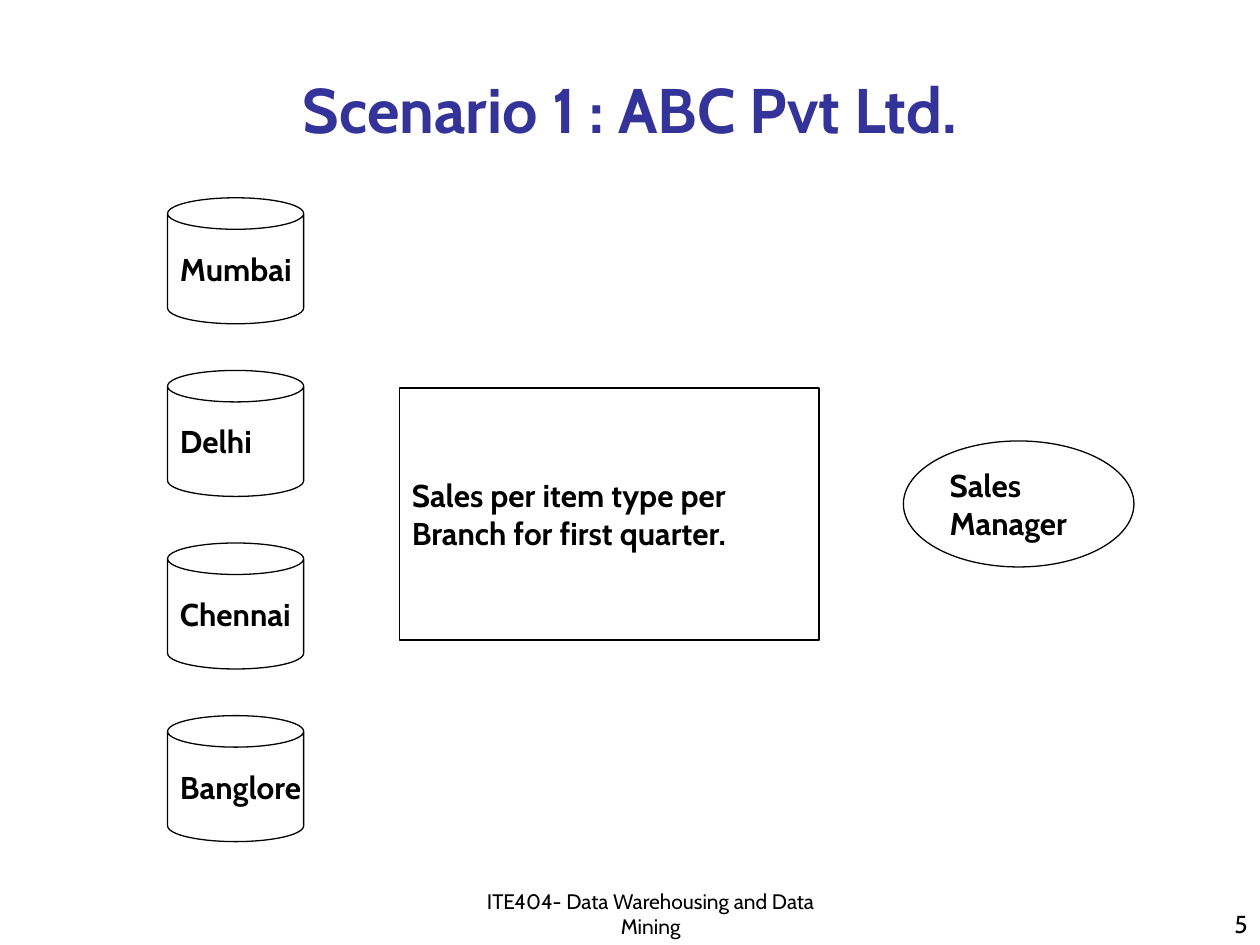
import dataclasses

import pptx
import pptx.dml.color
import pptx.enum.shapes
import pptx.enum.text
import pptx.util

Inches = pptx.util.Inches
Pt = pptx.util.Pt
Shape = pptx.enum.shapes.MSO_SHAPE
Align = pptx.enum.text.PP_ALIGN
Anchor = pptx.enum.text.MSO_ANCHOR


@dataclasses.dataclass(frozen=True)
class Theme:
    font: str = "Cabin"
    title_color: str = "333399"
    ink: str = "000000"
    title_size: int = 36
    label_size: int = 18
    number_size: int = 14
    footer_size: int = 12
    line_width: float = 0.75


THEME = Theme()


def rgb(color):
    return pptx.dml.color.RGBColor.from_string(color)


def write_lines(frame, lines, size, color=THEME.ink, bold=False, align=Align.LEFT):
    for index, line in enumerate(lines):
        paragraph = frame.add_paragraph() if index else frame.paragraphs[0]
        paragraph.text = line
        paragraph.alignment = align
        paragraph.font.name = THEME.font
        paragraph.font.size = Pt(size)
        paragraph.font.bold = bold
        paragraph.font.color.rgb = rgb(color)


def add_text(page, bounds, text, size, align, **style):
    box = page.shapes.add_textbox(*map(Inches, bounds))
    frame = box.text_frame
    frame.word_wrap = True
    frame.vertical_anchor = Anchor.BOTTOM
    write_lines(frame, [text], size, align=align, **style)
    return frame


def add_title(page, text):
    frame = add_text(page, (0.75, 0.33, 8.5, 0.83), text, THEME.title_size,
                     Align.CENTER, color=THEME.title_color, bold=True)
    frame.margin_top = frame.margin_bottom = 0


def add_node(page, kind, bounds, lines):
    node = page.shapes.add_shape(kind, *map(Inches, bounds))
    node.shadow.inherit = False
    node.fill.background()
    node.line.color.rgb = rgb(THEME.ink)
    node.line.width = Pt(THEME.line_width)
    frame = node.text_frame
    frame.word_wrap = False
    frame.vertical_anchor = Anchor.MIDDLE
    write_lines(frame, lines, THEME.label_size, bold=True)


def add_branches(page, cities, top=1.57, pitch=1.37):
    for index, city in enumerate(cities):
        add_node(page, Shape.CAN, (1.33, top + index * pitch, 1.08, 1), [city])


def main():
    deck = pptx.Presentation()
    deck.slide_width = Inches(10)
    deck.slide_height = Inches(7.5)
    page = deck.slides.add_slide(deck.slide_layouts[6])

    add_title(page, "Scenario 1 : ABC Pvt Ltd.")
    add_branches(page, ["Mumbai", "Delhi", "Chennai", "Banglore"])
    add_node(page, Shape.OVAL, (7.17, 3.5, 1.83, 1), ["Sales", "Manager"])
    add_node(page, Shape.RECTANGLE, (3.17, 3.08, 3.33, 2),
             ["Sales per item type per", "Branch for first quarter."])
    add_text(page, (7.92, 7, 2.08, 0.5), "5", THEME.number_size, Align.RIGHT)
    add_text(page, (3.58, 7.08, 3.17, 0.42), "ITE404- Data Warehousing and Data Mining",
             THEME.footer_size, Align.CENTER)

    deck.save("out.pptx")


if __name__ == "__main__":
    main()
